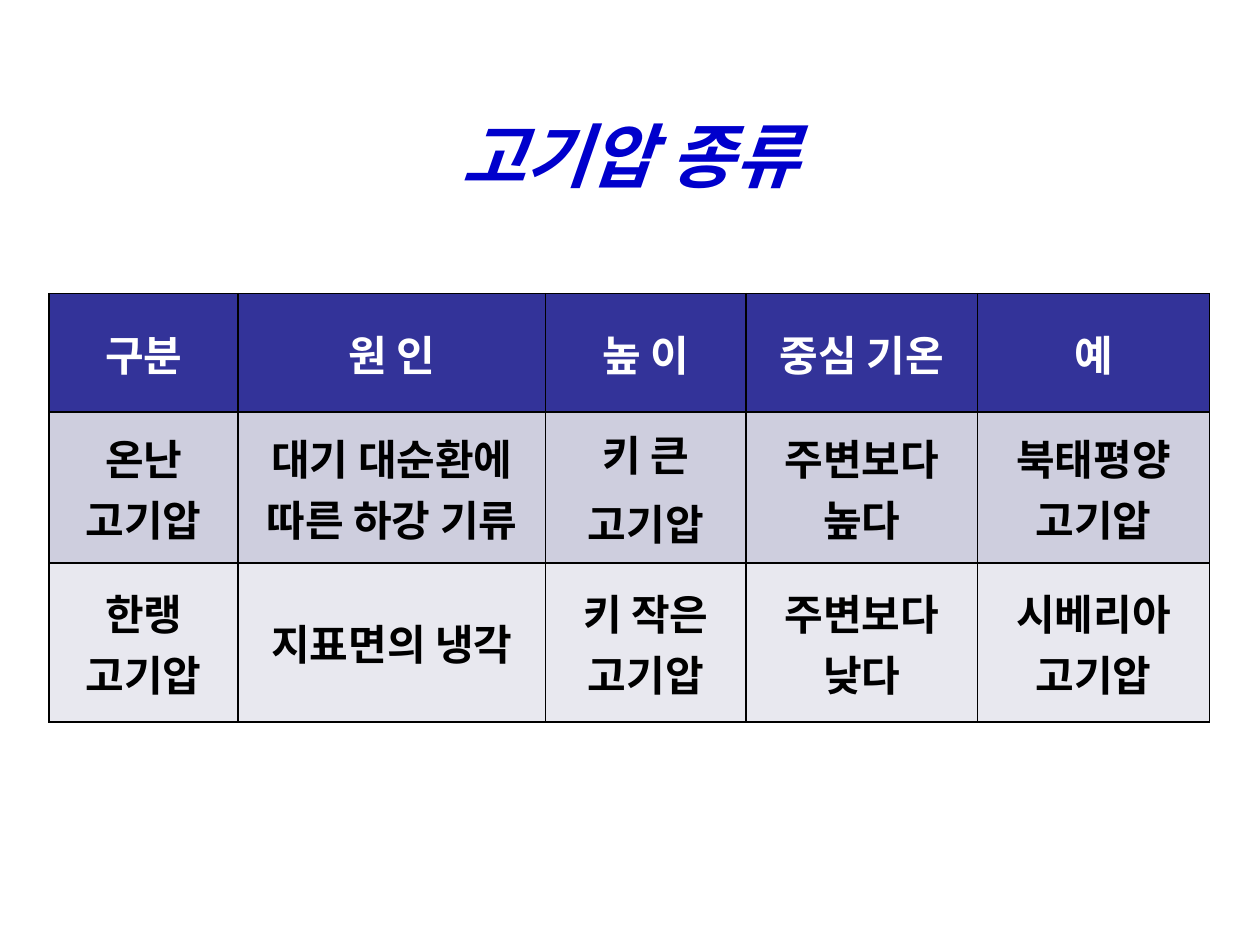
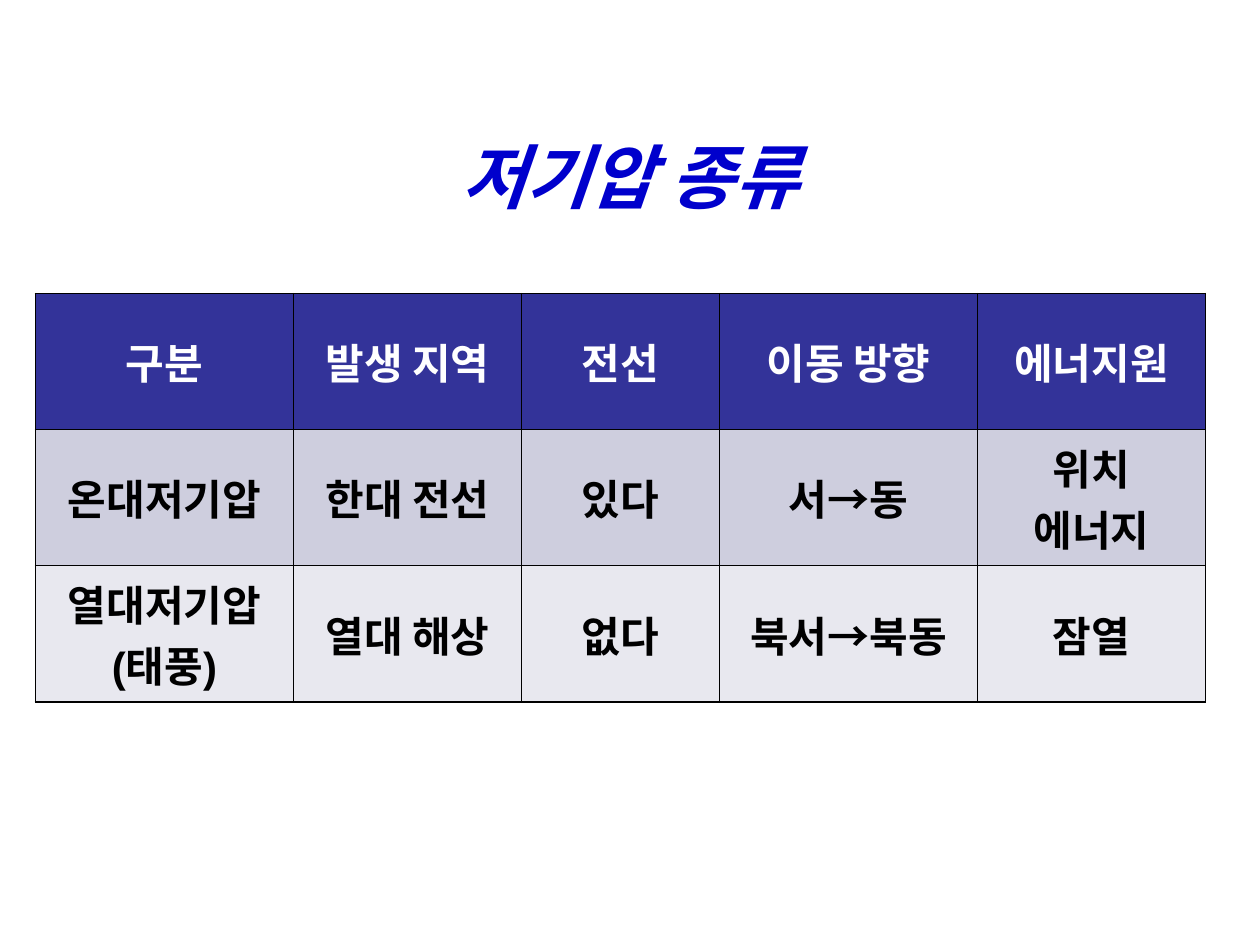
from lxml.etree import SubElement
from pptx import Presentation
from pptx.dml.color import RGBColor
from pptx.enum.text import MSO_ANCHOR, PP_ALIGN
from pptx.oxml.ns import qn
from pptx.util import Inches, Pt

COLORS = {
    "title": "0000CC",
    "header": "333399",
    "header_text": "FFFFFF",
    "odd_row": "CECEDE",
    "even_row": "E8E8EF",
    "body_text": "000000",
    "border": "000000",
}
TITLE_FORMAT = {"name": "Arial", "size": Pt(40), "bold": True, "italic": True}
CELL_FORMAT = {"name": "Arial", "size": Pt(24), "bold": True}
ROW_FILLS = ["header", "odd_row", "even_row"]

HIGH_PRESSURE = [
    ["구분", "원 인", "높 이", "중심 기온", "예"],
    ["온난\n고기압", "대기 대순환에\n따른 하강 기류", "키 큰\n고기압",
     "주변보다 높다", "북태평양\n고기압"],
    ["한랭\n고기압", "지표면의 냉각", "키 작은\n고기압",
     "주변보다 낮다", "시베리아\n고기압"],
]
LOW_PRESSURE = [
    ["구분", "발생 지역", "전선", "이동 방향", "에너지원"],
    ["온대저기압", "한대 전선", "있다", "서→동", "위치\n에너지"],
    ["열대저기압\n(태풍)", "열대 해상", "없다", "북서→북동", "잠열"],
]


def write_lines(frame, text, font_format, color):
    frame.text = text
    for line in frame.paragraphs:
        line.alignment = PP_ALIGN.CENTER
        for run in line.runs:
            for attribute, value in font_format.items():
                setattr(run.font, attribute, value)
            run.font.color.rgb = RGBColor.from_string(COLORS[color])


def add_titled_slide(deck, heading, top):
    slide = deck.slides.add_slide(deck.slide_layouts[5])
    title = slide.shapes.title
    place = {"left": 0.5, "top": top, "width": 9, "height": 0.95}
    for attribute, value in place.items():
        setattr(title, attribute, Inches(value))
    title.text_frame.vertical_anchor = MSO_ANCHOR.MIDDLE
    write_lines(title.text_frame, heading, TITLE_FORMAT, "title")
    return slide


def add_borders(cell):
    properties = cell._tc.get_or_add_tcPr()
    for side in ("a:lnL", "a:lnR", "a:lnT", "a:lnB"):
        border = SubElement(properties, qn(side), w=str(Pt(1)))
        fill = SubElement(border, qn("a:solidFill"))
        SubElement(fill, qn("a:srgbClr"), val=COLORS["border"])


def add_comparison(slide, rows, left, widths, heights, calibri_columns=()):
    comparison = slide.shapes.add_table(
        len(rows), len(widths), Inches(left), Inches(2.33),
        Inches(sum(widths)), Inches(sum(heights))).table
    for column, width in zip(comparison.columns, widths):
        column.width = Inches(width)
    for row, height in zip(comparison.rows, heights):
        row.height = Inches(height)
    for r, texts in enumerate(rows):
        for c, text in enumerate(texts):
            cell = comparison.cell(r, c)
            font_format = dict(CELL_FORMAT)
            if r and c in calibri_columns:
                font_format["name"] = "Calibri"
            color = "body_text" if r else "header_text"
            write_lines(cell.text_frame, text, font_format, color)
            cell.vertical_anchor = MSO_ANCHOR.MIDDLE
            add_borders(cell)
            cell.fill.solid()
            cell.fill.fore_color.rgb = RGBColor.from_string(COLORS[ROW_FILLS[r]])
    return comparison


def main():
    deck = Presentation()
    deck.slide_width, deck.slide_height = Inches(10), Inches(7.5)

    high = add_titled_slide(deck, "고기압 종류", 0.75)
    high_types = add_comparison(
        high, HIGH_PRESSURE, 0.39, [1.5, 2.44, 1.59, 1.84, 1.84],
        [0.94, 1.2, 1.26], calibri_columns=(1, 2))
    for line in high_types.cell(1, 2).text_frame.paragraphs:
        line.space_before = Pt(4.8)

    low = add_titled_slide(deck, "저기압 종류", 0.92)
    add_comparison(low, LOW_PRESSURE, 0.28, [2.05, 1.81, 1.57, 2.05, 1.81],
                   [1.08] * 3)

    deck.save("out.pptx")


if __name__ == "__main__":
    main()
